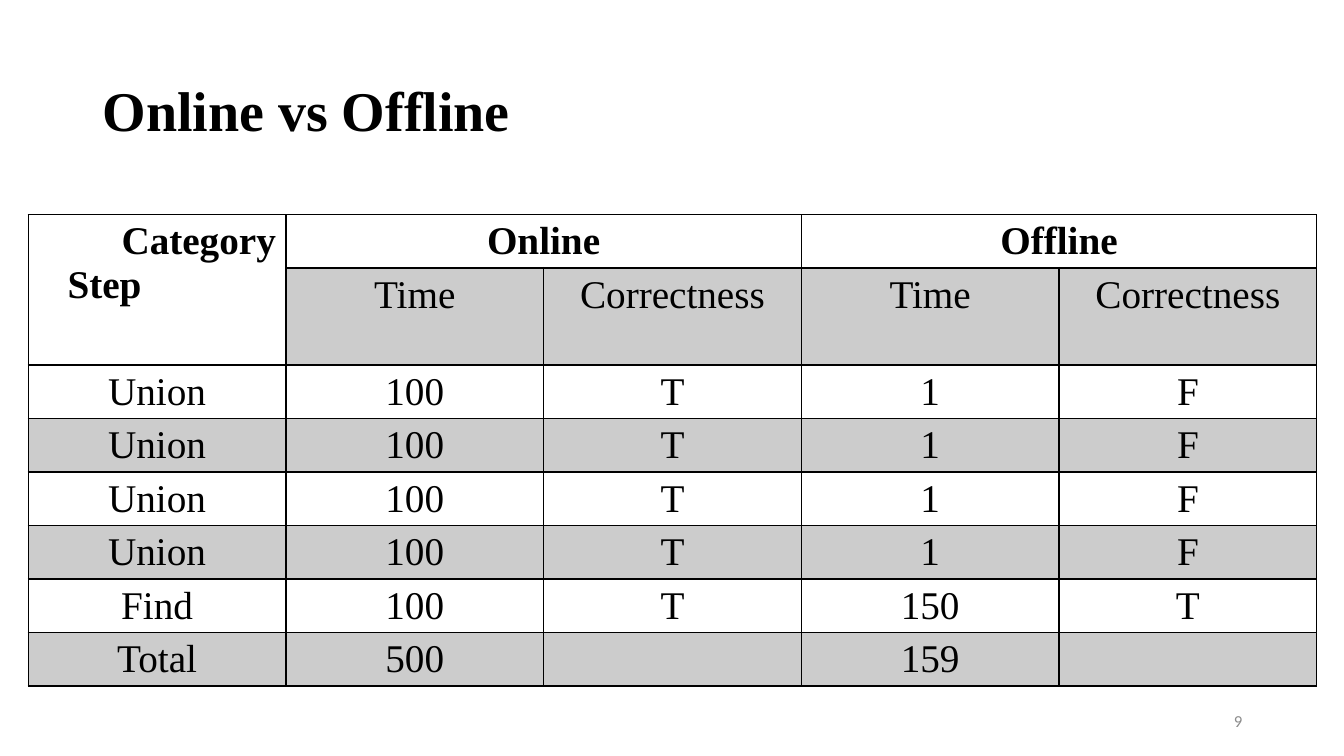
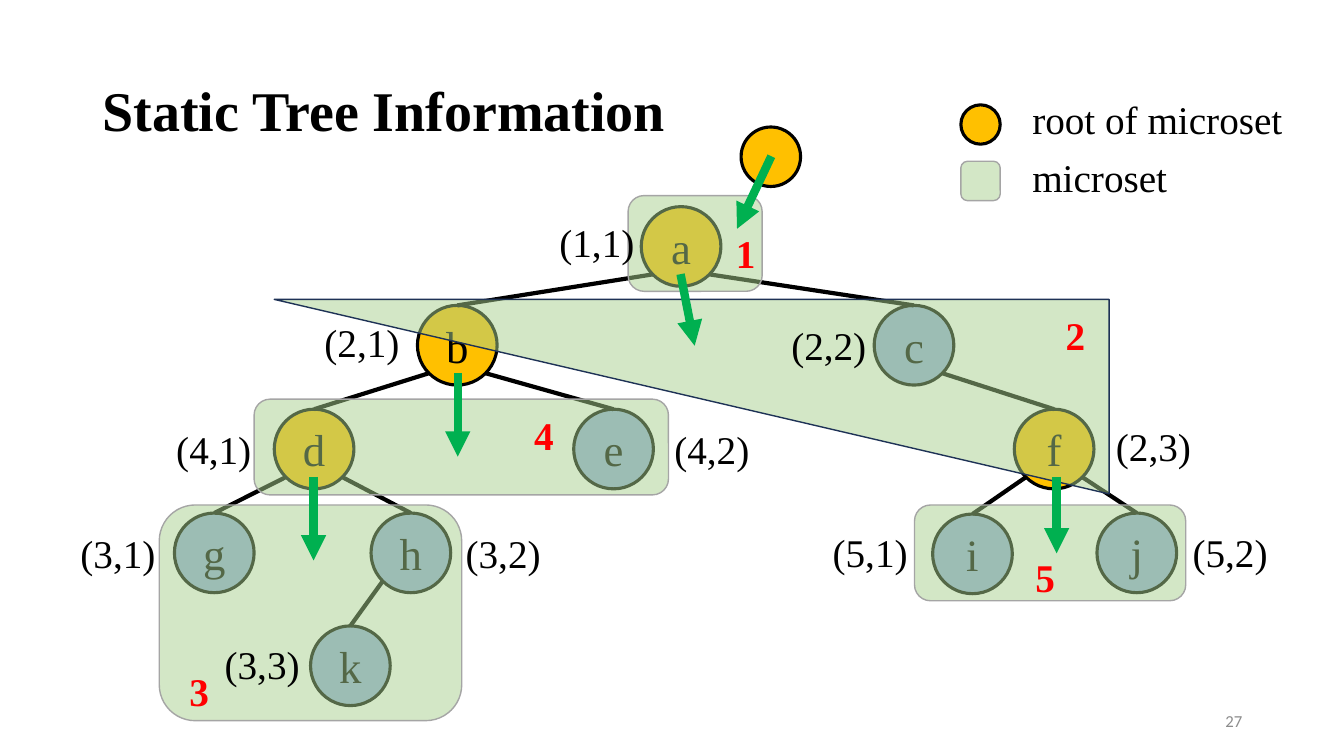
from lxml.etree import SubElement
from pptx import Presentation
from pptx.dml.color import RGBColor
from pptx.enum.shapes import MSO_CONNECTOR, MSO_SHAPE
from pptx.enum.text import MSO_ANCHOR, MSO_AUTO_SIZE, PP_ALIGN
from pptx.oxml import parse_xml
from pptx.oxml.ns import nsdecls, qn
from pptx.util import Inches, Pt

SERIF = "Times New Roman"
BLACK, RED, GREY = "000000", "FF0000", "8C8C8C"
ROOT_FILL, NODE_FILL = "FFC000", "8FAADC"
SET_FILL, SET_LINE, TRIANGLE_LINE = "A9D18E", "A5A5A5", "1E3256"
ARROW = "00B050"
NODE_SIZE = 0.79
SITE_NEAR, SITE_FAR = 0.15 * NODE_SIZE, 0.85 * NODE_SIZE


def color(hex_code):
    return RGBColor.from_string(hex_code)


def inches(*lengths):
    return [Inches(length) for length in lengths]


def style(paragraph, size, hex_code=BLACK, bold=False, name=SERIF, align=PP_ALIGN.LEFT):
    paragraph.alignment = align
    font = paragraph.font
    font.name, font.size, font.bold = name, Pt(size), bold
    font.color.rgb = color(hex_code)


def paint(fill, properties, hex_code, opacity=100):
    fill.solid()
    fill.fore_color.rgb = color(hex_code)
    if opacity < 100:
        solid = properties.find(qn("a:solidFill"))
        SubElement(solid[0], qn("a:alpha")).set("val", str(opacity * 1000))


def add_text(slide, box, text, size, anchor=MSO_ANCHOR.TOP, wrap=False, **look):
    shape = slide.shapes.add_textbox(*inches(*box))
    frame = shape.text_frame
    frame.word_wrap = wrap
    frame.auto_size = MSO_AUTO_SIZE.NONE if wrap else MSO_AUTO_SIZE.SHAPE_TO_FIT_TEXT
    frame.vertical_anchor = anchor
    paragraph = frame.paragraphs[0]
    paragraph.text = text
    style(paragraph, size, **look)
    return paragraph


def add_shape(slide, kind, box, fill, line=BLACK, weight=2.25, opacity=100):
    shape = slide.shapes.add_shape(kind, *inches(*box))
    shape.shadow.inherit = False
    paint(shape.fill, shape._element.spPr, fill, opacity)
    shape.line.color.rgb = color(line)
    shape.line.width = Pt(weight)
    return shape


def add_line(slide, start, end, hex_code, weight, arrow=False):
    line = slide.shapes.add_connector(MSO_CONNECTOR.STRAIGHT, *inches(*start, *end))
    line.line.color.rgb = color(hex_code)
    line.line.width = Pt(weight)
    if arrow:
        SubElement(line.line._get_or_add_ln(), qn("a:tailEnd")).set("type", "triangle")
    SubElement(line._element.spPr, qn("a:effectLst"))
    return line


def add_base(presentation, title, number):
    slide = presentation.slides.add_slide(presentation.slide_layouts[6])
    heading = add_text(slide, (0.92, 0.4, 11.5, 1.45), title, 40,
                       MSO_ANCHOR.MIDDLE, True, bold=True)
    heading.line_spacing = 0.9
    add_text(slide, (9.42, 6.95, 3, 0.4), str(number), 12, MSO_ANCHOR.MIDDLE, True,
             hex_code=GREY, name="Calibri", align=PP_ALIGN.RIGHT)
    return slide


def weight_below(row, column):
    return 2 if row == 0 or (row, column) == (1, 0) else 1


def add_borders(cell, row, column):
    weights = {"L": 1, "R": 1, "T": weight_below(row - 1, column),
               "B": weight_below(row, column)}
    properties = cell._tc.get_or_add_tcPr()
    for index, (side, weight) in enumerate(weights.items()):
        properties.insert(index, parse_xml(
            f'<a:ln{side} {nsdecls("a")} w="{Pt(weight)}"><a:solidFill>'
            f'<a:srgbClr val="{BLACK}"/></a:solidFill></a:ln{side}>'))


def add_comparison(slide, left, top, width):
    union = ("Union", "100", "T", "1", "F")
    rows = [
        ("Category\nStep", "Online", "", "Offline", ""),
        ("", "Time", "Correctness", "Time", "Correctness"),
        *[union] * 4,
        ("Find", "100", "T", "150", "T"),
        ("Total", "500", "", "159", ""),
    ]
    heights = [0.53, 0.96] + [0.53] * 6
    frame = slide.shapes.add_table(len(rows), 5, *inches(left, top, width, sum(heights)))
    table = frame.table
    table.first_row = table.horz_banding = False
    for column in table.columns:
        column.width = Inches(width / 5)
    for row, height in zip(table.rows, heights):
        row.height = Inches(height)
    for start, end in (((0, 0), (1, 0)), ((0, 1), (0, 2)), ((0, 3), (0, 4))):
        table.cell(*start).merge(table.cell(*end))
    for row, texts in enumerate(rows):
        for column, text in enumerate(texts):
            cell = table.cell(row, column)
            if cell.is_spanned:
                continue
            cell.text = text
            for paragraph in cell.text_frame.paragraphs:
                style(paragraph, 28, bold=row == 0, align=PP_ALIGN.CENTER)
            if row % 2:
                paint(cell.fill, cell._tc.get_or_add_tcPr(), BLACK, 20)
            else:
                cell.fill.background()
            add_borders(cell, row, column)
    category, step = table.cell(0, 0).text_frame.paragraphs
    category.alignment = PP_ALIGN.RIGHT
    step.alignment = PP_ALIGN.LEFT
    step._p.get_or_add_pPr().set("marL", str(Inches(0.29)))


def add_legend(slide, left, top):
    add_shape(slide, MSO_SHAPE.OVAL, (left, top + 0.14, 0.39, 0.39), ROOT_FILL)
    add_shape(slide, MSO_SHAPE.ROUNDED_RECTANGLE, (left, top + 0.7, 0.39, 0.39),
              SET_FILL, SET_LINE, 1, 50)
    for index, (text, width) in enumerate((("root of microset", 2.71), ("microset", 1.55))):
        add_text(slide, (left + 0.61, top + 0.57 * index, width, 0.57), text, 28)


def add_node(slide, x, y, letter, fill):
    node = add_shape(slide, MSO_SHAPE.OVAL, (x, y, NODE_SIZE, NODE_SIZE), fill)
    frame = node.text_frame
    frame.margin_left = frame.margin_right = frame.margin_top = frame.margin_bottom = 0
    frame.vertical_anchor = MSO_ANCHOR.MIDDLE
    frame.paragraphs[0].text = letter
    style(frame.paragraphs[0], 32, align=PP_ALIGN.CENTER)
    return node


def add_tree(slide, left, top):
    nodes = {
        "a": (5.66, 0.79, "(1,1)", -0.91, 0.07),
        "b": (3.44, 1.77, "(2,1)", -1.02, 0.08),
        "c": (7.97, 1.77, "(2,2)", -0.92, 0.11),
        "d": (2.02, 2.8, "(4,1)", -1.07, 0.11),
        "e": (4.99, 2.8, "(4,2)", 0.9, 0.11),
        "f": (9.36, 2.8, "(2,3)", 0.91, 0.08),
        "g": (1.03, 3.83, "(3,1)", -1.03, 0.11),
        "h": (2.98, 3.83, "(3,2)", 0.84, 0.11),
        "i": (8.55, 3.84, "(5,1)", -1.09, 0.09),
        "j": (10.18, 3.83, "(5,2)", 0.85, 0.1),
        "k": (2.38, 4.95, "(3,3)", -0.95, 0.09),
    }
    microsets = [
        ("4", (1.82, 2.7, 4.11, 0.95), (4.5, 2.77)),
        ("3", (0.88, 3.75, 3, 2.14), (1.08, 5.31)),
        ("2", (2.02, 1.71, 8.28, 1.93), (9.77, 1.78)),
        ("1", (5.53, 0.68, 1.33, 0.95), (6.5, 0.97)),
        ("5", (8.37, 3.75, 2.69, 0.95), (9.47, 4.18)),
    ]
    arrows = [
        ((9.78, 3.47), (9.78, 4.23)),
        ((6.95, 0.29), (6.61, 1.01)),
        ((6.05, 1.46), (6.19, 2.17)),
        ((3.84, 2.44), (3.84, 3.27)),
        ((2.41, 3.47), (2.41, 4.3)),
    ]

    def place(x, y, *size):
        return (left + x, top + y, *size)

    add_shape(slide, MSO_SHAPE.OVAL, place(6.65, 0, 0.59, 0.59), ROOT_FILL)
    circles = {}
    for letter, (x, y, *_) in nodes.items():
        fill = ROOT_FILL if letter in "abdf" else NODE_FILL
        circles[letter] = add_node(slide, *place(x, y), letter, fill)

    for parent, child in ("ab", "bd", "dg", "dh", "hk", "be", "ac", "cf", "fi", "fj"):
        x, y = nodes[parent][:2]
        child_x, child_y = nodes[child][:2]
        site = SITE_NEAR if child_x < x else SITE_FAR
        edge = add_line(slide, place(x + site, y + SITE_FAR),
                        place(child_x + NODE_SIZE / 2, child_y), BLACK, 3)
        edge.end_connect(circles[child], 0)

    for number, box, _ in microsets:
        slanted = number == "2"
        kind = MSO_SHAPE.RIGHT_TRIANGLE if slanted else MSO_SHAPE.ROUNDED_RECTANGLE
        line = TRIANGLE_LINE if slanted else SET_LINE
        region = add_shape(slide, kind, place(*box), SET_FILL, line, 1, 50)
        region.rotation = 180 if slanted else 0

    for start, end in arrows:
        add_line(slide, place(*start), place(*end), ARROW, 6, True)

    for number, _, spot in microsets:
        add_text(slide, place(*spot, 0.4, 0.57), number, 28, hex_code=RED, bold=True)
    for x, y, label, shift_x, shift_y in nodes.values():
        add_text(slide, place(x + shift_x, y + shift_y, 0.96, 0.57), label, 28)


def main():
    presentation = Presentation()
    presentation.slide_width, presentation.slide_height = inches(13.33, 7.5)
    comparison = add_base(presentation, "Online vs Offline", 9)
    add_comparison(comparison, 0.28, 2.13, 12.78)
    tree = add_base(presentation, "Static Tree Information", 27)
    add_legend(tree, 9.53, 0.9)
    add_tree(tree, 0.7, 1.26)
    presentation.save("out.pptx")


if __name__ == "__main__":
    main()
